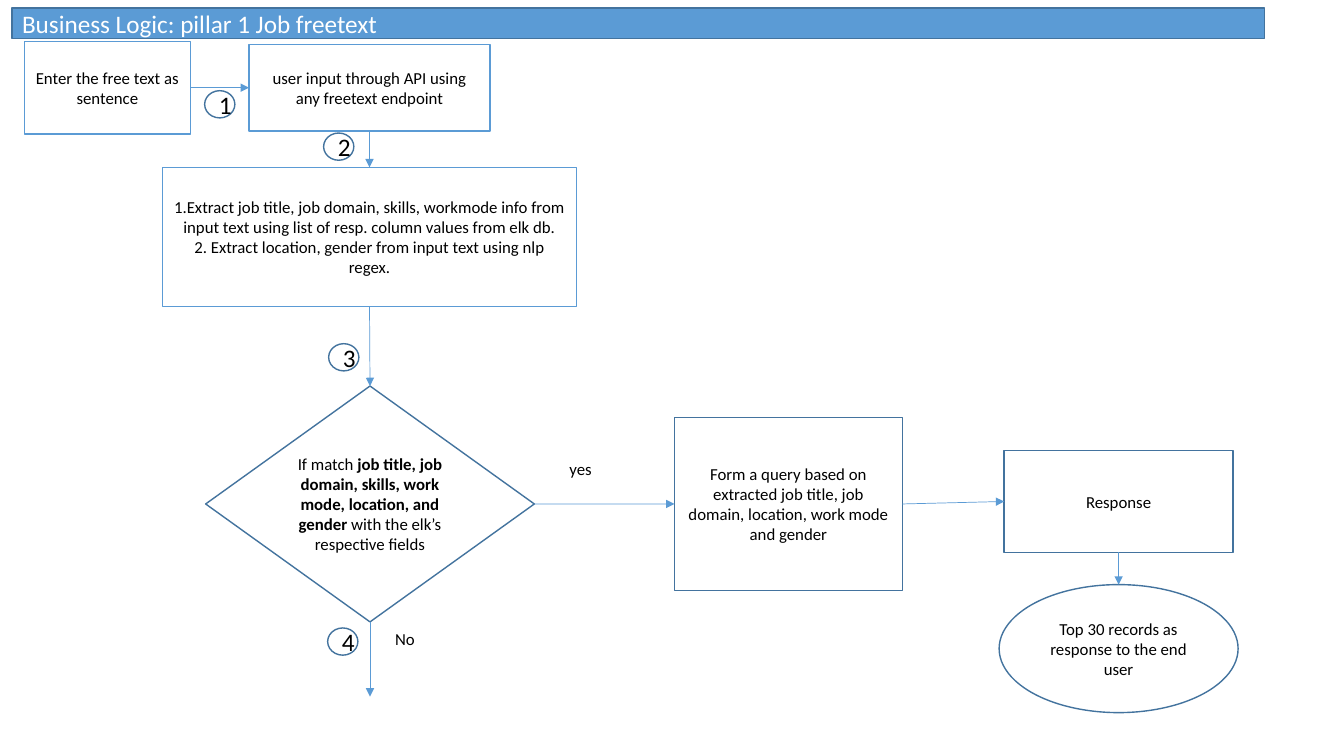
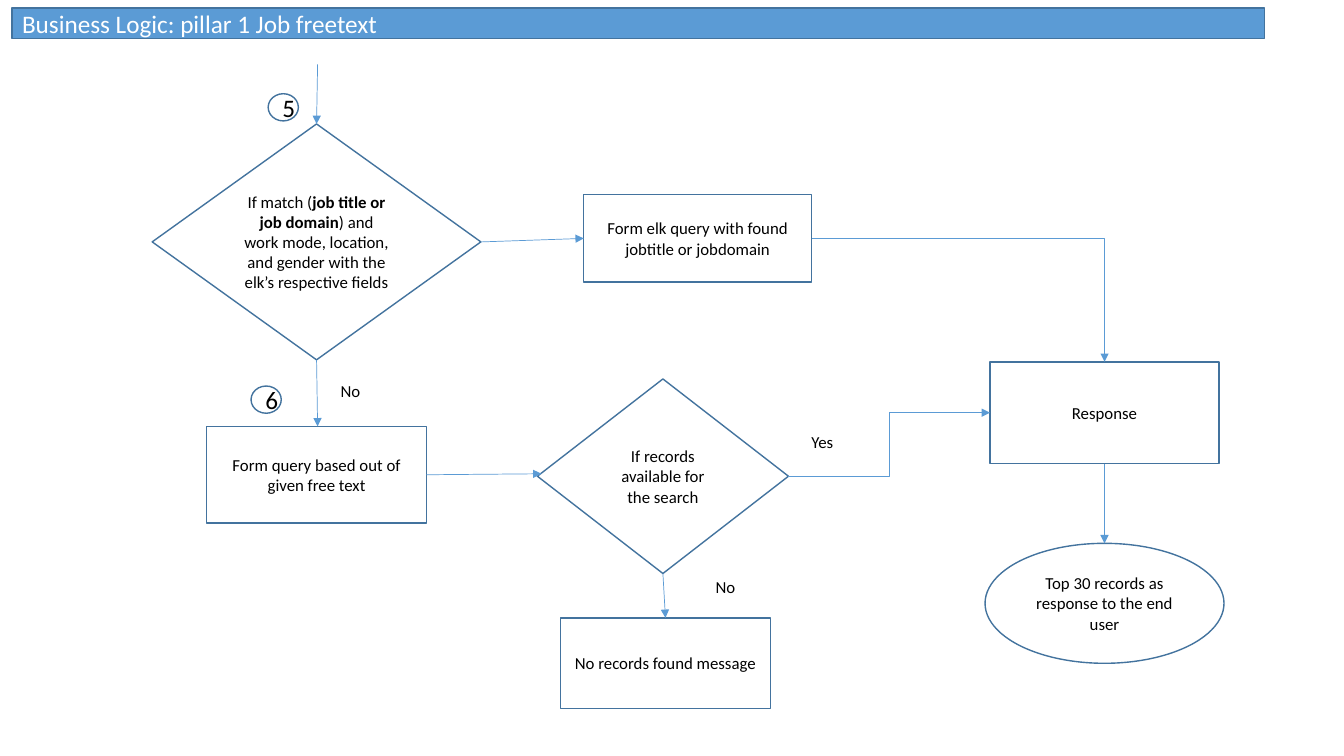
from pptx import Presentation
from pptx.dml.color import RGBColor
from pptx.enum.shapes import MSO_CONNECTOR, MSO_SHAPE
from pptx.enum.text import MSO_ANCHOR, PP_ALIGN
from pptx.oxml.ns import qn
from pptx.util import Inches, Pt
from lxml import etree

BLUE, DARK_BLUE, WHITE, BLACK = "5B9BD5", "43739E", "FFFFFF", "000000"
FONT = "Calibri"
RECT, DIAMOND, OVAL = MSO_SHAPE.RECTANGLE, MSO_SHAPE.DIAMOND, MSO_SHAPE.OVAL
TOP, LEFT, BOTTOM, RIGHT = range(4)  # connection sites of a box or diamond


def rgb(value):
    return RGBColor.from_string(value)


def write(sp, text, size=12, color=BLACK, align=PP_ALIGN.CENTER):
    """Fill a shape with text; parts between asterisks are bold."""
    tf = sp.text_frame
    tf.word_wrap = True
    p = tf.paragraphs[0]
    p.alignment = align
    p.font.name, p.font.size = FONT, Pt(size)
    p.font.color.rgb = rgb(color)
    for i, part in enumerate(text.split("*")):
        for j, line in enumerate(part.split("\n")):
            if j:
                p.add_line_break()
            r = p.add_run()
            r.text = line
            if i % 2:
                r.font.bold = True


def add_node(s, kind, box, text, line=DARK_BLUE, fill=WHITE, **style):
    sp = s.shapes.add_shape(kind, *map(Inches, box))
    sp.shadow.inherit = False
    sp.fill.solid()
    sp.fill.fore_color.rgb = rgb(fill)
    sp.line.color.rgb = rgb(line)
    sp.line.width = Pt(1)
    sp.text_frame.vertical_anchor = MSO_ANCHOR.MIDDLE
    write(sp, text, **style)
    return sp


def add_label(s, x, y, text, width=0.6):
    sp = s.shapes.add_textbox(*map(Inches, (x, y, width, 0.3)))
    write(sp, text, align=PP_ALIGN.LEFT)


def add_step(s, x, y, number):
    add_node(s, OVAL, (x, y, 0.3, 0.27), str(number), size=18)


def add_arrow(s, start, end, bend=None):
    """Draw an arrow; each end is a (shape, site) pair or an (x, y) point."""
    kind = MSO_CONNECTOR.ELBOW if bend else MSO_CONNECTOR.STRAIGHT
    points = [(0, 0) if hasattr(a, "shape_id") else (Inches(a), Inches(b))
              for a, b in (start, end)]
    c = s.shapes.add_connector(kind, *points[0], *points[1])
    for (a, site), connect in ((start, c.begin_connect), (end, c.end_connect)):
        if hasattr(a, "shape_id"):
            connect(a, site)
    c.line.color.rgb = rgb(BLUE)
    c.line.width = Pt(0.5)
    sp_pr = c._element.spPr
    if bend:
        sp_pr.find(qn("a:prstGeom")).set("prst", bend)
    etree.SubElement(sp_pr.find(qn("a:ln")), qn("a:tailEnd"), type="triangle")
    etree.SubElement(sp_pr, qn("a:effectLst"))
    return c


def add_flow_slide(prs):
    s = prs.slides.add_slide(prs.slide_layouts[6])
    add_node(s, RECT, (0.12, 0.08, 12.42, 0.3),
             "Business Logic: pillar 1 Job freetext", fill=BLUE,
             size=18, color=WHITE, align=PP_ALIGN.LEFT)
    return s


def add_response(s, x, y, gap, oval_height):
    """Response box with the final result below it."""
    width, height, overhang = 2.27, 1.01, 0.05
    box = add_node(s, RECT, (x, y, width, height), "Response")
    result = add_node(s, OVAL, (x - overhang, y + height + gap,
                                width + 2 * overhang, oval_height),
                      "Top 30 records as response to the end user")
    add_arrow(s, (box, BOTTOM), (result, TOP))
    return box


def add_match(s, x, y, text):
    return add_node(s, DIAMOND, (x, y, 3.26, 2.34), text)


def build_extraction(prs):
    s = add_flow_slide(prs)
    entry = add_node(s, RECT, (0.24, 0.41, 1.65, 0.92),
                     "Enter the free text as sentence", BLUE)
    endpoint = add_node(s, RECT, (2.47, 0.44, 2.39, 0.86),
                        "user input through API using any freetext endpoint",
                        BLUE)
    extract = add_node(
        s, RECT, (1.61, 1.66, 4.11, 1.38),
        "1.Extract job title, job domain, skills, workmode info from input "
        "text using list of resp. column values from elk db.\n"
        "2. Extract location, gender from input text using nlp regex.", BLUE)
    match = add_match(
        s, 2.04, 3.83,
        "If match *job title, job domain, skills, work mode, location, and "
        "gender *with the elk’s respective fields")
    query = add_node(s, RECT, (6.69, 4.14, 2.26, 1.72),
                     "Form a query based on extracted job title, job domain, "
                     "location, work mode and gender")
    response = add_response(s, 9.96, 4.47, 0.32, 1.27)

    add_arrow(s, (entry, RIGHT), (endpoint, LEFT))
    add_arrow(s, (endpoint, BOTTOM), (extract, TOP))
    add_arrow(s, (extract, BOTTOM), (match, TOP))
    add_arrow(s, (match, RIGHT), (query, LEFT))
    add_arrow(s, (query, RIGHT), (response, LEFT))
    add_arrow(s, (match, BOTTOM), (3.67, 6.91))

    add_label(s, 5.55, 4.5, "yes")
    add_label(s, 3.82, 6.19, "No")
    steps = [(2.03, 0.9), (3.21, 1.32), (3.26, 3.41), (3.25, 6.23)]
    for number, (x, y) in enumerate(steps, 1):
        add_step(s, x, y, number)


def build_fallback(prs):
    s = add_flow_slide(prs)
    match = add_match(
        s, 1.51, 1.23,
        "If match (*job title or job domain*) and work mode, location, and "
        "gender with the elk’s respective fields")
    elk_query = add_node(s, RECT, (5.79, 1.93, 2.26, 0.87),
                         "Form elk query with found jobtitle or jobdomain")
    text_query = add_node(s, RECT, (2.05, 4.23, 2.18, 0.96),
                          "Form query based out of given free text")
    available = add_node(s, DIAMOND, (5.33, 3.76, 2.49, 1.93),
                         "If records available for the search")
    no_records = add_node(s, RECT, (5.56, 6.13, 2.08, 0.9),
                          "No records found message")
    response = add_response(s, 9.82, 3.59, 0.79, 1.19)

    add_arrow(s, (3.15, 0.64), (match, TOP))
    add_arrow(s, (match, RIGHT), (elk_query, LEFT))
    add_arrow(s, (match, BOTTOM), (3.15, 4.23))
    add_arrow(s, (text_query, RIGHT), (5.37, 4.7))
    add_arrow(s, (available, BOTTOM), (no_records, TOP))
    add_arrow(s, (elk_query, RIGHT), (response, TOP), "bentConnector2")
    add_arrow(s, (available, RIGHT), (response, LEFT), "bentConnector3")

    add_label(s, 3.28, 3.73, "No")
    add_label(s, 7, 5.67, "No")
    add_label(s, 7.95, 4.23, "Yes")
    for number, (x, y) in enumerate([(2.66, 0.93), (2.49, 3.83)], 5):
        add_step(s, x, y, number)


def main():
    prs = Presentation()
    prs.slide_width, prs.slide_height = Inches(13.33), Inches(7.5)
    build_extraction(prs)
    build_fallback(prs)
    prs.save("out.pptx")


if __name__ == "__main__":
    main()
